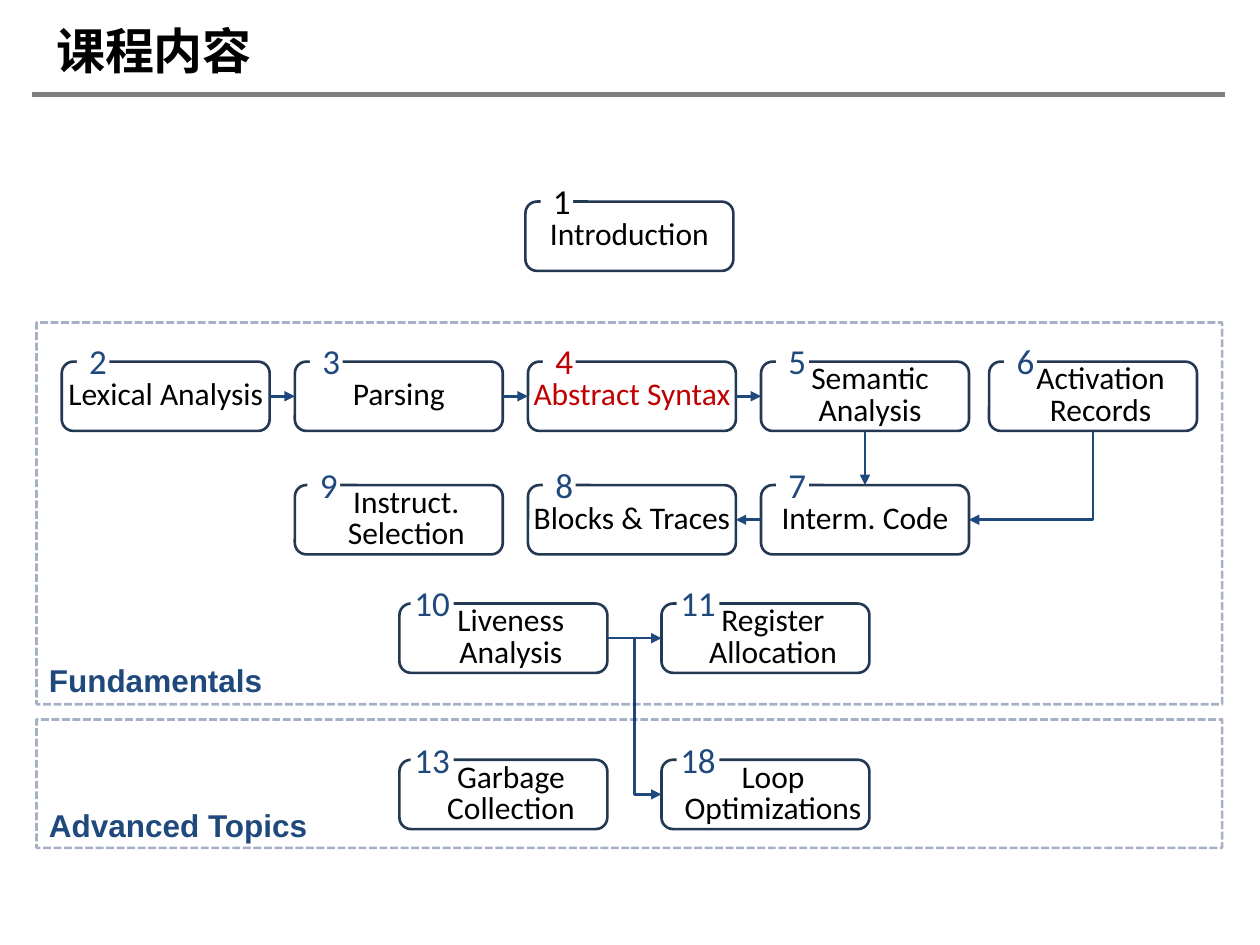
"""Build the course contents slide: a map of chapters and their order."""
from lxml import etree
from pptx import Presentation, util as u
from pptx.dml.color import RGBColor
from pptx.enum import dml, shapes, text
from pptx.oxml.ns import qn

COLOURS = {"ink": "000000", "paper": "FFFFFF", "rule": "7F7F7F", "border": "233953",
           "accent": "1F497D", "current": "C00000", "panel": "002060"}
NODE_W, NODE_H = 1.65, 0.55
COLUMN = [0.49 + 1.85 * i for i in range(4)] + [7.85]
PAIR = [3.17, 5.25]
ROW = [1.6, 2.87, 3.85, 4.79, 6.03]
PANEL_LEFT, PANEL_W = 0.29, 9.41

FUNDAMENTALS = [
    ("2", "Lexical Analysis", COLUMN[0], ROW[1], 0),
    ("3", "Parsing", COLUMN[1], ROW[1], 0),
    ("4", "Abstract Syntax", COLUMN[2], ROW[1], 0),
    ("5", "Semantic Analysis", COLUMN[3], ROW[1], 0.08),
    ("6", "Activation Records", COLUMN[4], ROW[1], 0.12),
    ("7", "Interm. Code", COLUMN[3], ROW[2], 0),
    ("8", "Blocks & Traces", COLUMN[2], ROW[2], 0),
    ("9", "Instruct. Selection", COLUMN[1], ROW[2], 0.12),
    ("10", "Liveness Analysis", PAIR[0], ROW[3], 0.12),
    ("11", "Register Allocation", PAIR[1], ROW[3], 0.12),
]
ADVANCED = [
    ("13", "Garbage Collection", PAIR[0], ROW[4], 0.12),
    ("18", "Loop Optimizations", PAIR[1], ROW[4], 0.12),
]
TOP, LEFT, BOTTOM, RIGHT = range(4)
ARROWS = [("2", RIGHT, "3", LEFT), ("3", RIGHT, "4", LEFT), ("4", RIGHT, "5", LEFT),
          ("5", BOTTOM, "7", TOP), ("7", LEFT, "8", RIGHT), ("10", RIGHT, "11", LEFT)]
BADGE_SHIFT = {"9": 0.1, "10": 0.09, "13": 0.09}


def rgb(name):
    """Return the named colour."""
    return RGBColor.from_string(COLOURS[name])


def inches(*lengths):
    """Convert lengths to slide units."""
    return [u.Inches(length) for length in lengths]


def write(frame, words, size, font, colour, bold=False):
    """Put one formatted run into the first paragraph and return the paragraph."""
    paragraph = frame.paragraphs[0]
    run = paragraph.add_run()
    run.text = words
    run.font.size, run.font.name, run.font.bold = u.Pt(size), font, bold
    run.font.color.rgb = rgb(colour)
    return paragraph


def set_insets(frame, left=0, top=0, right=0, bottom=0):
    """Set the four insets of a text frame."""
    (frame.margin_left, frame.margin_top,
     frame.margin_right, frame.margin_bottom) = inches(left, top, right, bottom)


def add_box(parts, kind, box, fill=None, line=None):
    """Add a preset shape with the given fill and outline."""
    shape = parts.add_shape(kind, *inches(*box))
    shape.shadow.inherit = False
    if fill:
        shape.fill.solid()
        shape.fill.fore_color.rgb = rgb(fill)
    else:
        shape.fill.background()
    if line:
        shape.line.color.rgb = rgb(line)
        shape.line.width = u.Pt(1.5)
    else:
        shape.line.fill.background()
    shape.text_frame.word_wrap = True
    shape.text_frame.vertical_anchor = text.MSO_ANCHOR.MIDDLE
    return shape


def add_line(parts, start, end, colour, width, arrow=False):
    """Add a straight line, with an arrowhead at its end if asked."""
    line = parts.add_connector(shapes.MSO_CONNECTOR.STRAIGHT, *inches(*start, *end))
    line.line.color.rgb = rgb(colour)
    line.line.width = u.Pt(width)
    if arrow:
        etree.SubElement(line.line._get_or_add_ln(), qn("a:tailEnd"), type="triangle")
    etree.SubElement(line._element.spPr, qn("a:effectLst"))
    return line


def add_corner(parts, start, end):
    """Add an arrow that runs down and then sideways."""
    (x1, y1), (x2, y2) = start, end
    down, across = y2 - y1, abs(x2 - x1)
    left, top = (x1 + x2 - down) / 2, (y1 + y2 - across) / 2
    corner = add_line(parts, (left, top), (left + down, top + across), "accent", 1.5, True)
    properties = corner._element.spPr
    properties.find(qn("a:prstGeom")).set("prst", "bentConnector2")
    frame = properties.find(qn("a:xfrm"))
    frame.set("rot", str((90 if x2 < x1 else 270) * 60000))
    if x2 > x1:
        frame.set("flipH", "1")


def add_chapter(parts, number, name, left, top, inset, colours=("accent", "ink")):
    """Add a chapter node with its number set into the top edge."""
    node = add_box(parts, shapes.MSO_SHAPE.ROUNDED_RECTANGLE,
                   (left, top, NODE_W, NODE_H), line="border")
    set_insets(node.text_frame, inset)
    label = write(node.text_frame, name, 18, "Calibri", colours[1])
    label.alignment, label.line_spacing = text.PP_ALIGN.CENTER, u.Pt(18)

    wide = len(number) > 1
    badge = add_box(parts, shapes.MSO_SHAPE.RECTANGLE,
                    (left + BADGE_SHIFT.get(number, 0.12), top - 0.16,
                     0.34 if wide else 0.26, 0.31), fill="paper")
    side = 0 if wide else 0.1
    set_insets(badge.text_frame, side, 0.05, side, 0.05)
    digits = write(badge.text_frame, number, 20, "Calibri", colours[0])
    digits.alignment = text.PP_ALIGN.CENTER
    return node


def add_panel(parts, name, top, height, label_top):
    """Add a dashed frame around a part of the course, with its name."""
    panel = add_box(parts, shapes.MSO_SHAPE.RECTANGLE,
                    (PANEL_LEFT, top, PANEL_W, height), line="panel")
    panel.line.dash_style = dml.MSO_LINE.SQUARE_DOT
    colour = panel.line._get_or_add_ln().find(".//" + qn("a:srgbClr"))
    etree.SubElement(colour, qn("a:alpha"), val="35000")
    caption = parts.add_textbox(*inches(PANEL_LEFT, label_top, 5, 0.4))
    caption.text_frame.word_wrap = True
    write(caption.text_frame, name, 18, "Arial", "accent", bold=True)


def add_heading(slide):
    """Set the title and the rule beneath it."""
    add_line(slide.shapes, (0.25, 0.75), (9.72, 0.75), "rule", 3)
    title = slide.shapes.title
    title.left, title.top, title.width, title.height = inches(0.44, 0.15, 1.58, 0.49)
    frame = title.text_frame
    frame.word_wrap, frame.vertical_anchor = True, text.MSO_ANCHOR.TOP
    frame.auto_size = text.MSO_AUTO_SIZE.NONE
    set_insets(frame, top=0.01)
    heading = write(frame, "课程内容", 28, "Noto Sans CJK SC", "ink", bold=True)
    heading.alignment = text.PP_ALIGN.LEFT
    properties = heading.runs[0].font._element
    properties.set("spc", "-20")
    properties.set("lang", "zh-CN")
    etree.SubElement(properties, qn("a:ea"), typeface="Noto Sans CJK SC")
    heading.space_before = u.Pt(0)
    heading._p.get_or_add_pPr().set("marL", str(u.Inches(0.01)))


def add_course_map(parts):
    """Add the chapters, the arrows between them and the two panels."""
    nodes = {}
    for number, *rest in FUNDAMENTALS + ADVANCED:
        colours = ("current", "current") if number == "4" else ("accent", "ink")
        nodes[number] = add_chapter(parts, number, *rest, colours)
    for source, exit_side, target, entry_side in ARROWS:
        arrow = add_line(parts, (0.5, 3), (1, 3), "accent", 1.5, True)
        arrow.begin_connect(nodes[source], exit_side)
        arrow.end_connect(nodes[target], entry_side)

    middle = NODE_H / 2
    add_corner(parts, (COLUMN[4] + NODE_W / 2, ROW[1] + NODE_H),
               (COLUMN[3] + NODE_W, ROW[2] + middle))
    add_corner(parts, ((PAIR[0] + NODE_W + PAIR[1]) / 2, ROW[3] + middle),
               (PAIR[1], ROW[4] + middle))
    add_panel(parts, "Fundamentals", 2.56, 3.03, 5.2)
    add_panel(parts, "Advanced Topics", 5.71, 1.02, 6.35)


def main():
    """Build and save the slide."""
    deck = Presentation()
    deck.slide_width, deck.slide_height = inches(10, 7.5)
    slide = deck.slides.add_slide(deck.slide_layouts[5])
    add_heading(slide)
    add_chapter(slide.shapes.add_group_shape().shapes, "1", "Introduction",
                4.17, ROW[0], 0, ("ink", "ink"))
    add_course_map(slide.shapes.add_group_shape().shapes)
    deck.save("out.pptx")


if __name__ == "__main__":
    main()
